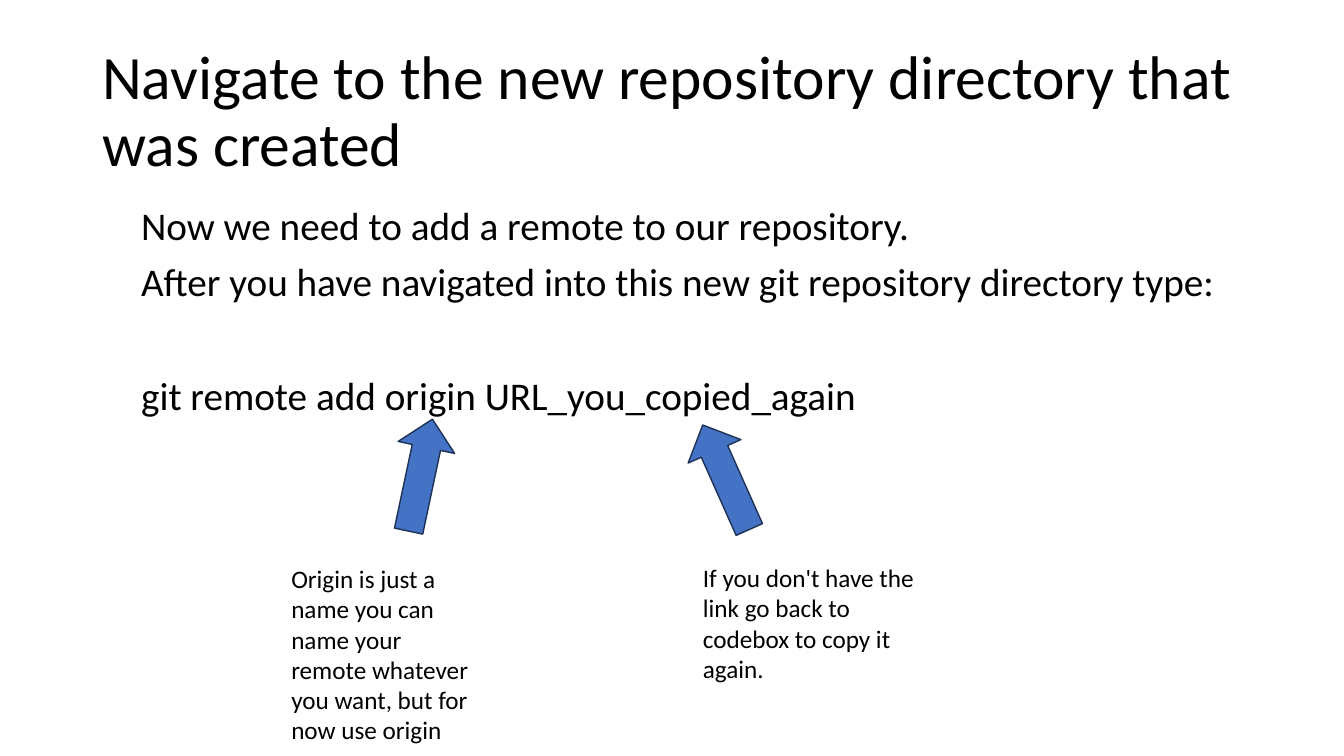
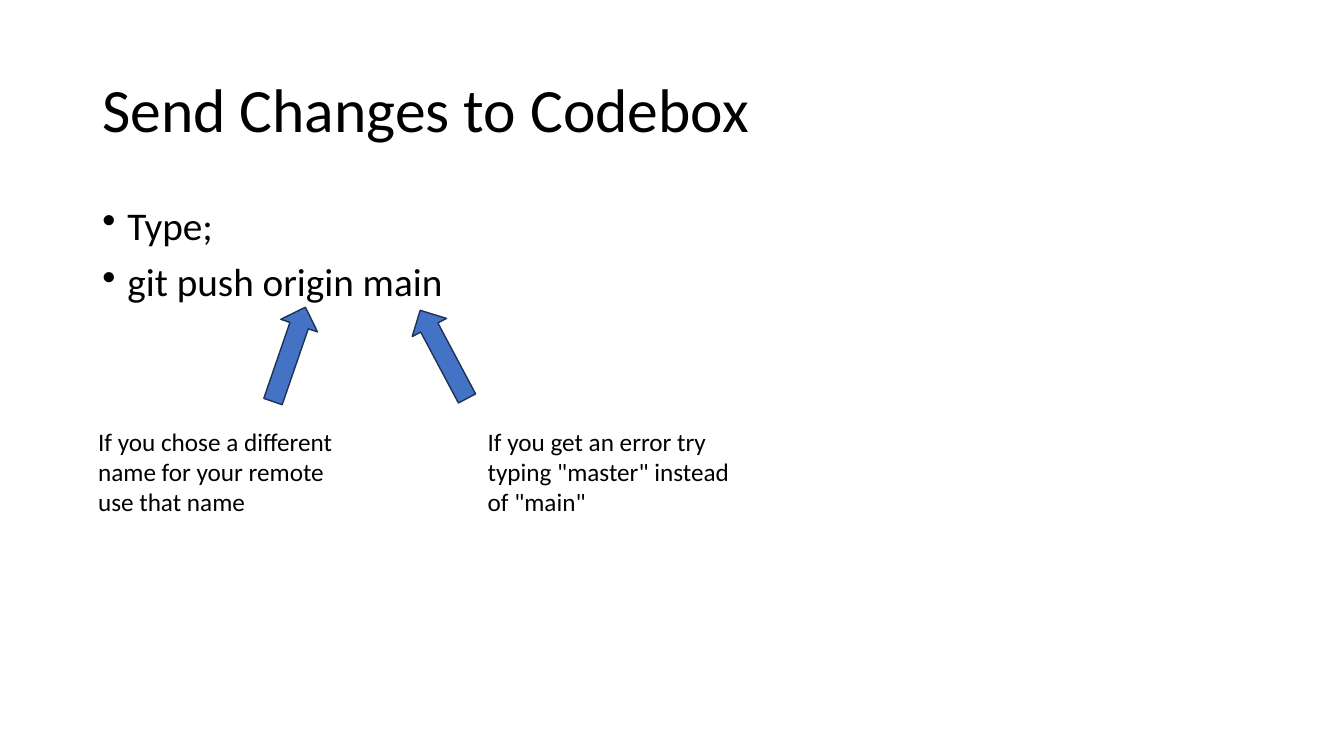
"""Build two slides on adding a git remote and pushing to it."""
import pptx
import pptx.dml.color
import pptx.enum.shapes
import pptx.enum.text
import pptx.oxml.ns
import pptx.util
from lxml import etree

PX = 9525
SIZE = (1280, 720)
FONT = "Calibri"
HUES = {"page": "FFFFFF", "text": "000000", "arrow": "4472C4", "edge": "1E3256"}
TITLE = (88, 38, 1104, 139)
BODY = (88, 192, 1104, 457)
ANCHOR = pptx.enum.text.MSO_ANCHOR
FIT = pptx.enum.text.MSO_AUTO_SIZE

PAGES = [
    {
        "title": "Navigate to the new repository directory that was created",
        "lines": [
            ("Now we need to add a remote to our repository.", 10),
            ("After you have navigated into this new git repository directory type:", 10),
            ("git remote add origin URL_you_copied_again", 51),
        ],
        "inset": 37,
        "bullet": False,
        "notes": [
            ((268, 532, 200, 184), (78, -107, 109, 55), 282,
             "Origin is just a name you can name your remote whatever you want, "
             "but for now use origin"),
            ((660, 531, 240, 97), (-23, -104, 109, 55), 246,
             "If you don't have the link go back to codebox to copy it again."),
        ],
    },
    {
        "title": "Send Changes to Codebox",
        "lines": [("Type;", 10), ("git push origin main", 10)],
        "inset": 24,
        "bullet": True,
        "notes": [
            ((84, 401, 267, 97), (144, -82, 95, 37), 289,
             "If you chose a different name for your remote use that name"),
            ((455, 401, 267, 97), (-80, -82, 95, 37), 242,
             'If you get an error try typing "master" instead of "main"'),
        ],
    },
]


def emu(box):
    """Turn px lengths into EMU."""
    return [n * PX for n in box]


def hue(name):
    """Give the colour of that name."""
    return pptx.dml.color.RGBColor.from_string(HUES[name])


def write(slide, box, words, size, anchor=ANCHOR.TOP, fit=FIT.NONE):
    """Add a wrapped text box and return its paragraphs."""
    frame = slide.shapes.add_textbox(*emu(box)).text_frame
    frame.text = words
    frame.word_wrap = True
    frame.auto_size = fit
    frame.vertical_anchor = anchor
    for para in frame.paragraphs:
        for run in para.runs:
            run.font.name = FONT
            run.font.size = pptx.util.Pt(size)
            run.font.color.rgb = hue("text")
    return frame.paragraphs


def head(slide, box, words):
    """Place the slide title in its box."""
    write(slide, box, words, 44, ANCHOR.MIDDLE)[0].line_spacing = 0.9


def body(slide, box, lines, inset, bullet):
    """Place the main lines, indented or bulleted."""
    paras = write(slide, box, "\n".join(words for words, gap in lines), 28)
    for para, (words, gap) in zip(paras, lines):
        para.line_spacing = 0.9
        para.space_before = pptx.util.Pt(gap)
        props = para._p.get_or_add_pPr()
        props.set("marL", str(inset * PX))
        if bullet:
            props.set("indent", str(-inset * PX))
            mark = etree.SubElement(props, pptx.oxml.ns.qn("a:buChar"))
            mark.set("char", "•")


def note(slide, box, shift, turn, words):
    """Place a remark in its box and an arrow shifted from its corner."""
    left, top, wide, high = shift
    arrow = slide.shapes.add_shape(
        pptx.enum.shapes.MSO_SHAPE.RIGHT_ARROW,
        *emu((box[0] + left, box[1] + top, wide, high)))
    arrow.rotation = turn
    arrow.shadow.inherit = False
    arrow.fill.solid()
    arrow.fill.fore_color.rgb = hue("arrow")
    arrow.line.color.rgb = hue("edge")
    arrow.line.width = pptx.util.Pt(1)
    write(slide, box, words, 18, fit=FIT.SHAPE_TO_FIT_TEXT)


def page(deck, data):
    """Add one slide with title, lines and notes."""
    slide = deck.slides.add_slide(deck.slide_layouts[6])
    fill = slide.background.fill
    fill.solid()
    fill.fore_color.rgb = hue("page")
    head(slide, TITLE, data["title"])
    body(slide, BODY, data["lines"], data["inset"], data["bullet"])
    for item in data["notes"]:
        note(slide, *item)


def main():
    """Build and save the deck."""
    deck = pptx.Presentation()
    deck.slide_width, deck.slide_height = emu(SIZE)
    for data in PAGES:
        page(deck, data)
    deck.save("out.pptx")


if __name__ == "__main__":
    main()
